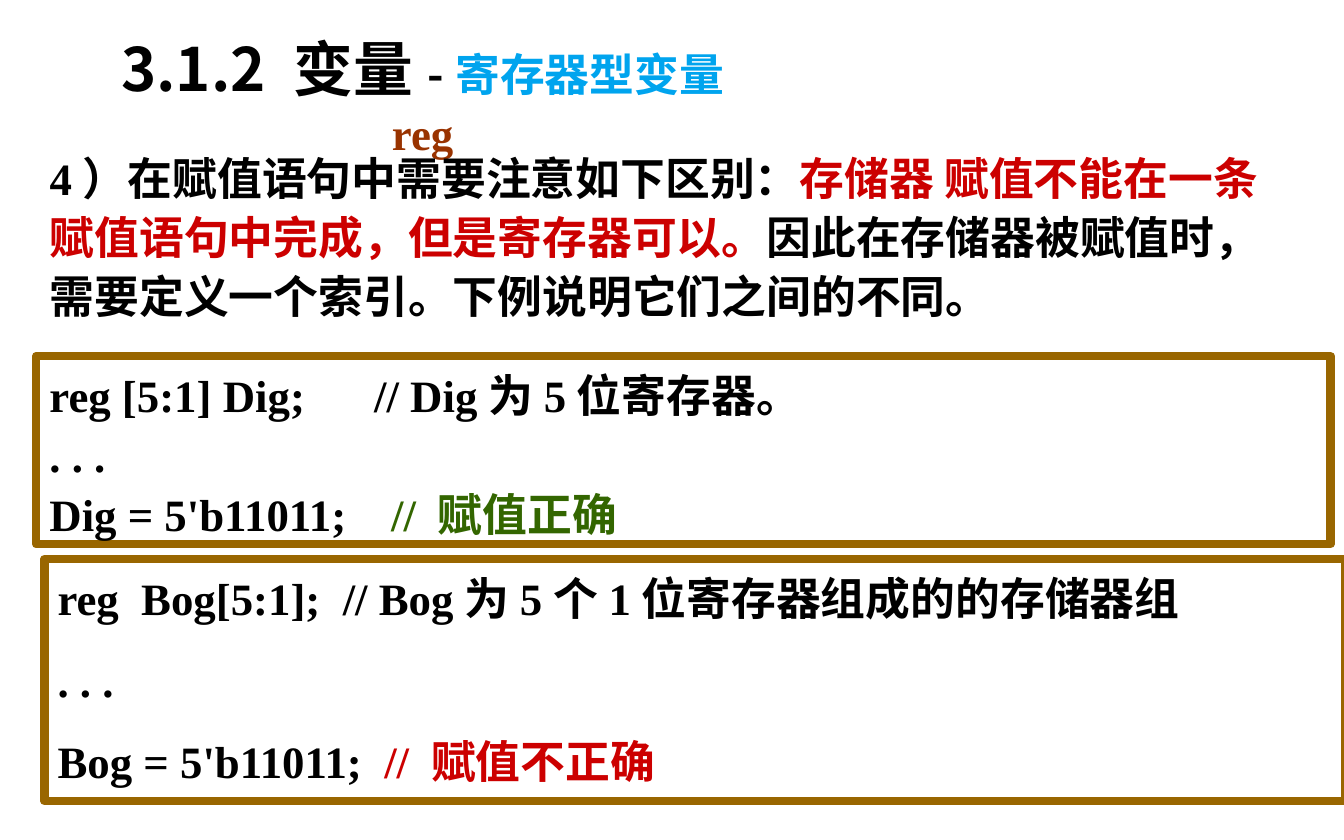
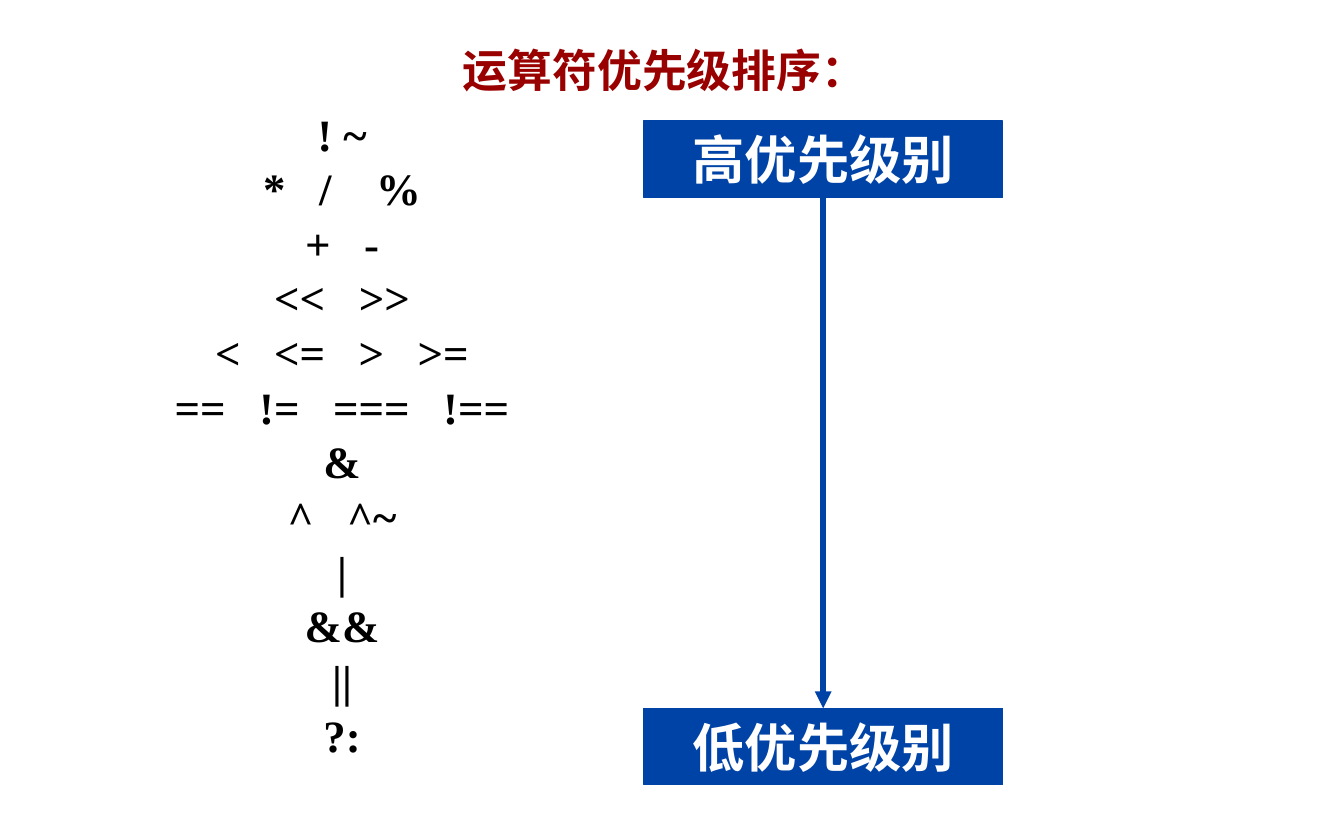
from lxml.etree import SubElement
from pptx import Presentation
from pptx.dml.color import RGBColor
from pptx.enum.shapes import MSO_CONNECTOR as Connector, MSO_SHAPE as Shape
from pptx.enum.text import MSO_ANCHOR as Anchor, MSO_AUTO_SIZE as AutoSize, PP_ALIGN as Align
from pptx.oxml.ns import qn
from pptx.util import Inches, Pt

COLORS = {
    "ink": "000000", "white": "FFFFFF", "red": "CC0000", "green": "336600",
    "sky": "00A4EE", "rust": "993300", "heading": "990000",
    "frame": "996600", "blue": "0043A6",
}
LATIN, HAN = "Times New Roman", "Noto Sans CJK SC"
COLUMNS, ROWS = 100, 62.5


def color(name):
    return RGBColor.from_string(COLORS[name])


class Board:
    """Holds the deck's style and the slide being drawn."""

    def __init__(self):
        self.deck = Presentation()
        self.deck.slide_width, self.deck.slide_height = Inches(10), Inches(6.25)
        self.page = None

    def new_page(self):
        self.page = self.deck.slides.add_slide(self.deck.slide_layouts[1])

    def area(self, left, top, width, height):
        """Turn grid columns and rows into lengths."""
        column = self.deck.slide_width / COLUMNS
        row = self.deck.slide_height / ROWS
        return [round(n) for n in (left * column, top * row, width * column, height * row)]

    def fill_text(self, box, paras, size=24, pitch=31.7, align=Align.LEFT,
                  top=0.05, left=0.1, right=0.1):
        """Fill a box with paragraphs of (text, colour[, font[, size]]) spans."""
        frame = box.text_frame
        frame.word_wrap = True
        frame.auto_size = AutoSize.NONE
        frame.vertical_anchor = Anchor.TOP
        frame.margin_top, frame.margin_bottom = Inches(top), Inches(0.05)
        frame.margin_left, frame.margin_right = Inches(left), Inches(right)
        for index, spans in enumerate(paras):
            para = frame.add_paragraph() if index else frame.paragraphs[0]
            para.alignment = align
            para.line_spacing = Pt(pitch)
            para.space_before = Pt(size / 2 if index else 0)
            para.space_after = Pt(0)
            properties = para._p.get_or_add_pPr()
            properties.set("marL", "0")
            properties.set("indent", "0")
            SubElement(properties, qn("a:buNone"))
            for span in spans:
                self.add_span(para, size, *span)

    def add_span(self, para, size, text, ink="ink", font=LATIN, own_size=None):
        for index, line in enumerate(text.split("\n")):
            if index:
                para.add_line_break()
            run = para.add_run()
            run.text = line
            run.font.name = font
            run.font.size = Pt(own_size or size)
            run.font.bold = True
            run.font.color.rgb = color(ink)
            SubElement(run._r.get_or_add_rPr(), qn("a:ea"), typeface=HAN)

    def placeholder(self, index, area, paras, **style):
        box = self.page.placeholders[index]
        box.left, box.top, box.width, box.height = self.area(*area)
        self.fill_text(box, paras, **style)

    def title(self, area, spans, **style):
        self.placeholder(0, area, [spans], **style)

    def body(self, area, paras, **style):
        self.placeholder(1, area, paras, **style)

    def rectangle(self, area, paras, line, weight, fill=None, **style):
        box = self.page.shapes.add_shape(Shape.RECTANGLE, *self.area(*area))
        box.shadow.inherit = False
        if fill:
            box.fill.solid()
            box.fill.fore_color.rgb = color(fill)
        else:
            box.fill.background()
        box.line.color.rgb = color(line)
        box.line.width = Pt(weight)
        self.fill_text(box, paras, **style)
        return box

    def code(self, area, paras):
        self.rectangle(area, paras, "frame", 4.5)

    def label(self, area, text):
        return self.rectangle(area, [[(text, "white")]], "blue", 0.75, fill="blue",
                              size=28, pitch=33.6, align=Align.CENTER)

    def arrow_down(self, upper, lower):
        arrow = self.page.shapes.add_connector(Connector.STRAIGHT, 0, 0, 0, 0)
        arrow.begin_connect(upper, 2)
        arrow.end_connect(lower, 0)
        arrow.line.color.rgb = color("blue")
        arrow.line.width = Pt(3)
        properties = arrow._element.spPr
        SubElement(properties.find(qn("a:ln")), qn("a:tailEnd"), type="triangle")
        SubElement(properties, qn("a:effectLst"))


def register_page(board):
    board.new_page()
    # Heading: the keyword wraps below the topic
    board.title((8, 1.8, 52.9, 6.4), [
        ("3.1.2 变量", "ink", HAN, 32), ("-", "ink", HAN),
        ("寄存器型变量 ", "sky", HAN), ("reg", "rust"),
    ], pitch=30, align=Align.CENTER, top=0.17, left=0.05, right=0.65)
    # Explanation
    board.body((2.7, 10.3, 93.3, 14.3), [[
        ("4）在赋值语句中需要注意如下区别：",),
        ("存储器 赋值不能在一条赋值语句中完成，但是寄存器可以。", "red"),
        ("因此在存储器被赋值时，需要定义一个索引。下例说明它们之间的不同。",),
    ]])
    # Right and wrong code
    board.code((2.7, 26.5, 96.3, 14), [[
        ("reg [5:1] Dig; \t     // Dig为5位寄存器。\n. . .\nDig = 5'b11011;    ",),
        ("// 赋值正确", "green"),
    ]])
    board.code((3.3, 41.6, 96.8, 18), [
        [("reg  Bog[5:1];  // Bog为5个1位寄存器组成的的存储器组",)],
        [(". . .",)],
        [("Bog = 5'b11011;  ",), ("// 赋值不正确", "red")],
    ])


def priority_page(board):
    board.new_page()
    board.title((3.2, 2.7, 92.5, 5), [("运算符优先级排序：", "heading")],
                pitch=28.8, align=Align.CENTER)
    # Operators, from the tightest binding down
    operators = ["! ~", "*   /    %", "+   -", "<<   >>", "<   <=   >   >=",
                 "==   !=   ===   !==", "&", "^   ^~", "|", "&&", "||", "?:"]
    board.body((4.2, 9, 42.5, 53.5), [[(text,)] for text in operators],
               pitch=17.3, align=Align.CENTER)
    # Priority scale
    high, low = (board.label((47.9, top, 26.7, 5.7), text)
                 for top, text in ((9, "高优先级别"), (52.7, "低优先级别")))
    board.arrow_down(high, low)


def main():
    board = Board()
    register_page(board)
    priority_page(board)
    board.deck.save("out.pptx")


if __name__ == "__main__":
    main()
